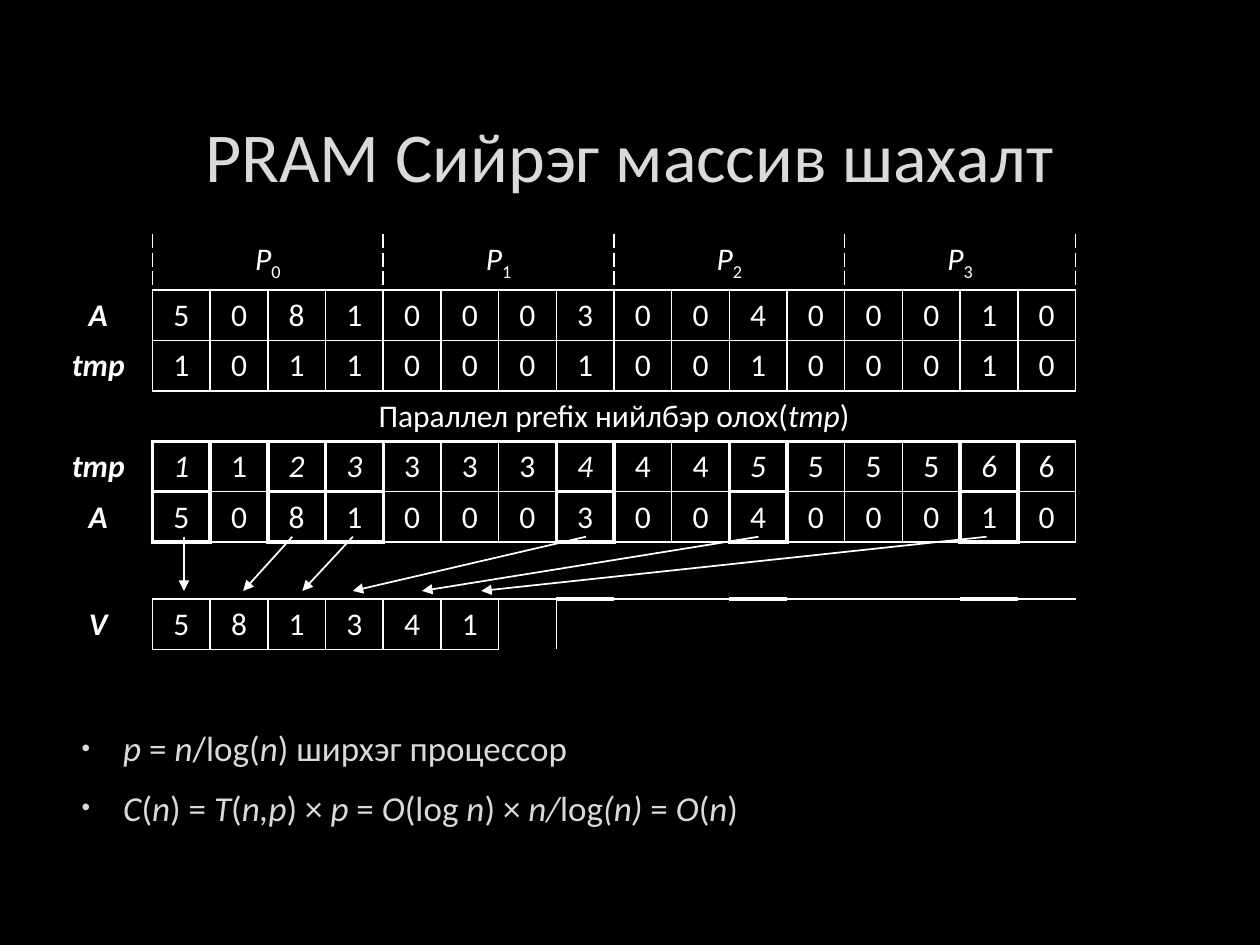
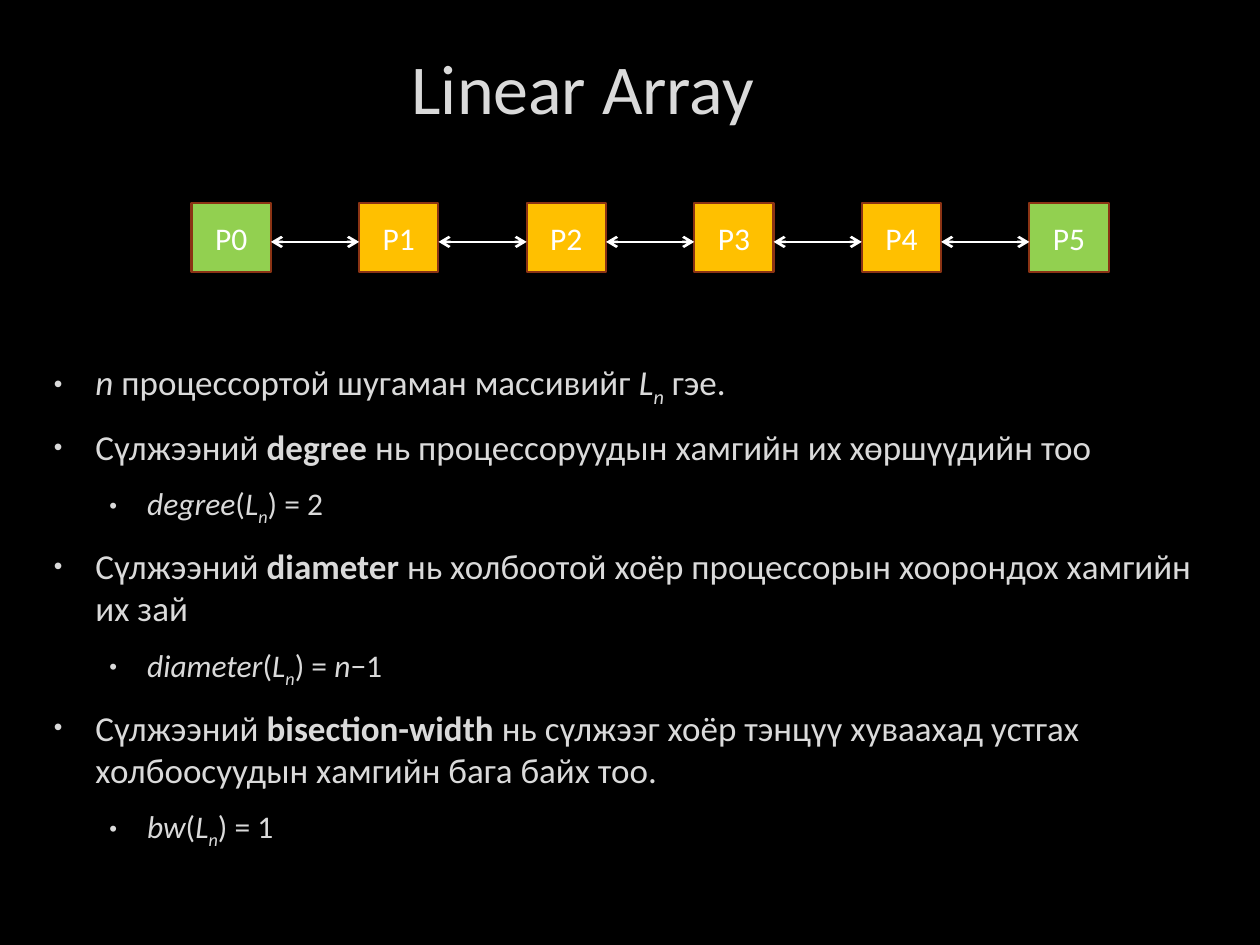
from lxml.etree import SubElement
from pptx import Presentation
from pptx.dml.color import RGBColor
from pptx.enum.shapes import MSO_CONNECTOR, MSO_SHAPE
from pptx.enum.text import MSO_ANCHOR, PP_ALIGN
from pptx.oxml.ns import qn
from pptx.util import Inches, Pt

BLACK = RGBColor(0x00, 0x00, 0x00)
WHITE = RGBColor(0xFF, 0xFF, 0xFF)
PALE = RGBColor(0xDA, 0xDA, 0xDA)
GREEN = RGBColor(0x92, 0xD0, 0x50)
AMBER = RGBColor(0xFF, 0xC0, 0x00)
RUST = RGBColor(0x8B, 0x33, 0x14)
MARKS = ("*", "^", "_")  # toggles for italic, bold, subscript
BULLET_INDENTS = ((0.38, -0.33, 20), (0.79, -0.3, 18))  # margin, hanging, size


def write(paragraph, markup, size, color, align=PP_ALIGN.CENTER):
    font = paragraph.font
    font.name, font.size, font.color.rgb = "Calibri", Pt(size), color
    paragraph.alignment = align
    active = set()
    for mark in MARKS:
        markup = markup.replace(mark, f"\t{mark}\t")
    for piece in filter(None, markup.split("\t")):
        if piece in MARKS:
            active ^= {piece}
            continue
        run = paragraph.add_run()
        run.text = piece
        run.font.italic = "*" in active
        run.font.bold = "^" in active
        if "_" in active:
            run._r.get_or_add_rPr().set("baseline", "-25000")


def draw_arrow(slide, start, end, width, **heads):
    arrow = slide.shapes.add_connector(
        MSO_CONNECTOR.STRAIGHT, *(Inches(value) for value in start + end))
    arrow.line.color.rgb = WHITE
    arrow.line.width = Pt(width)
    properties = arrow._element.spPr
    for tag, head in heads.items():
        SubElement(properties.find(qn("a:ln")), qn(f"a:{tag}"), type=head)
    SubElement(properties, qn("a:effectLst"))


presentation = Presentation()
presentation.slide_width, presentation.slide_height = Inches(10), Inches(7.5)

# Titles and bullets: title, its frame, bullet frame, (level, text)
contents = [
    ("PRAM Сийрэг массив шахалт", (0.75, 0.7, 8.49, 1.06), (0.5, 5.72, 9, 0.98), [
        (0, "*p* = *n*/log(*n*) ширхэг процессор"),
        (0, "*C*(*n*) = *T*(*n,p*) × *p* = *O*(log *n*) × *n/*log*(n)* = *O*(*n*)"),
    ]),
    ("Linear Array", (0.39, 0.03, 8.47, 1.31), (0.28, 2.81, 9.53, 4.49), [
        (0, "*n* процессортой шугаман массивийг *L_n_* гэе."),
        (0, "Сүлжээний ^degree^ нь процессоруудын хамгийн их хөршүүдийн тоо"),
        (1, "*degree*(*L_n_*) = 2"),
        (0, "Сүлжээний ^diameter^ нь холбоотой хоёр процессорын хоорондох хамгийн их зай"),
        (1, "*diameter*(*L_n_*) = *n*−1"),
        (0, "Сүлжээний ^bisection-width^ нь сүлжээг хоёр тэнцүү хуваахад устгах "
            "холбоосуудын хамгийн бага байх тоо."),
        (1, "*bw*(*L_n_*) = 1"),
    ]),
]
slides = []
for title, title_frame, body_frame, bullets in contents:
    slide = presentation.slides.add_slide(presentation.slide_layouts[6])
    slide.background.fill.solid()
    slide.background.fill.fore_color.rgb = BLACK
    slides.append(slide)

    heading, body = (
        slide.shapes.add_textbox(*(Inches(value) for value in frame)).text_frame
        for frame in (title_frame, body_frame))
    heading.word_wrap = body.word_wrap = True
    heading.vertical_anchor = MSO_ANCHOR.MIDDLE
    write(heading.paragraphs[0], title, 40, PALE)

    for index, (level, text) in enumerate(bullets):
        margin, hanging, size = BULLET_INDENTS[level]
        paragraph = body.add_paragraph() if index else body.paragraphs[0]
        paragraph.level = level
        paragraph.space_before, paragraph.space_after = Pt(size * 0.2), Pt(6)
        properties = paragraph._p.get_or_add_pPr()
        properties.set("marL", str(Inches(margin)))
        properties.set("indent", str(Inches(hanging)))
        bullet_color = SubElement(properties, qn("a:buClr"))
        SubElement(bullet_color, qn("a:srgbClr"), val=str(PALE))
        SubElement(properties, qn("a:buSzPct"), val="70000")
        SubElement(properties, qn("a:buFont"), typeface="Arial")
        SubElement(properties, qn("a:buChar"), char="•")
        write(paragraph, text, size, PALE, PP_ALIGN.LEFT)

packing_slide, linear_slide = slides

# Packing table: a label column, then 16 array columns
ARRAY_COLUMNS = range(1, 17)
PACKED_COLUMNS = (1, 3, 4, 8, 11, 15)
ROW_HEIGHTS = (0.44, 0.4, 0.4, 0.4, 0.4, 0.4, 0.45, 0.4)
array_rows = {
    1: ("A", "5081000300400010"),
    2: ("tmp", "1011000100100010"),
    4: ("tmp", "1123333444555566"),
    5: ("A", "5081000300400010"),
    7: ("V", "581341"),
}
table = packing_slide.shapes.add_table(
    len(ROW_HEIGHTS), 17, Inches(0.35), Inches(1.86),
    Inches(8.19), Inches(sum(ROW_HEIGHTS))).table
table.first_row = table.horz_banding = False
table._tbl.tblPr.find(qn("a:tableStyleId")).text = "{2D5ABB26-0587-4C30-8999-92F81FD0307C}"
table.columns[0].width = Inches(0.86)
for column in ARRAY_COLUMNS:
    table.columns[column].width = Inches(7.33 / 16)
for row, height in zip(table.rows, ROW_HEIGHTS):
    row.height = Inches(height)

# Cell texts; new prefix sums stand in italics
texts = {(3, 1): "Параллел prefix нийлбэр олох(*tmp*)"}
for processor in range(4):
    first = 1 + 4 * processor
    texts[0, first] = f"*P*_{processor}_"
    table.cell(0, first).merge(table.cell(0, first + 3))
table.cell(3, 1).merge(table.cell(3, 16))
for row, (label, digits) in array_rows.items():
    texts[row, 0] = f"^*{label}*^"
    for column, digit in enumerate(digits, 1):
        is_new_sum = row == 4 and column in PACKED_COLUMNS
        texts[row, column] = f"*{digit}*" if is_new_sum else digit
for (row, column), text in texts.items():
    write(table.cell(row, column).text_frame.paragraphs[0], text, 18, WHITE)

# Borders: thin grid first, then heavy boxes around the packed values
NEIGHBOURS = {"lnL": (0, -1, "lnR"), "lnR": (0, 1, "lnL"),
              "lnT": (-1, 0, "lnB"), "lnB": (1, 0, "lnT")}
boxes = [(row, column, NEIGHBOURS, 1, "solid")
         for row, (label, digits) in array_rows.items()
         for column in range(1, len(digits) + 1)]
boxes += [(row, column, NEIGHBOURS, 2.25, "solid")
          for row in (4, 5) for column in PACKED_COLUMNS]
boxes += [(4, column, ("lnT",), 2.25, "solid") for column in ARRAY_COLUMNS]
boxes += [(0, column, ("lnL",), 1, "sysDash") for column in (1, 5, 9, 13)]
boxes += [(0, column, ("lnR",), 1, "sysDash") for column in (13, 16)]
edges = {}
for row, column, sides, width, dash in boxes:
    for side in sides:
        down, across, opposite = NEIGHBOURS[side]
        edges[row, column, side] = width, dash
        edges[row + down, column + across, opposite] = width, dash
for row in range(len(ROW_HEIGHTS)):
    for column in range(17):
        cell = table.cell(row, column)
        for side in NEIGHBOURS:
            if (row, column, side) in edges:
                width, dash = edges[row, column, side]
                border = SubElement(cell._tc.get_or_add_tcPr(), qn(f"a:{side}"),
                                    w=str(Pt(width)))
                fill = SubElement(border, qn("a:solidFill"))
                SubElement(fill, qn("a:srgbClr"), val=str(WHITE))
                SubElement(border, qn("a:prstDash"), val=dash)
        cell.fill.background()

# Arrows from the packed values to their places in V
for source, target in ((1.46, 1.46), (7.83, 3.82), (6.02, 3.35),
                       (4.65, 2.8), (2.32, 1.93), (2.8, 2.4)):
    draw_arrow(packing_slide, (source, 4.26), (target, 4.69), 1, tailEnd="triangle")

# Linear array: six processors at an equal pitch
PITCH, NODE_WIDTH, NODE_HEIGHT = 1.33, 0.63, 0.55
for index in range(6):
    left = 1.52 + index * PITCH
    node = linear_slide.shapes.add_shape(
        MSO_SHAPE.RECTANGLE, Inches(left), Inches(1.61),
        Inches(NODE_WIDTH), Inches(NODE_HEIGHT))
    node.shadow.inherit = False
    node.fill.solid()
    node.fill.fore_color.rgb = GREEN if index in (0, 5) else AMBER
    node.line.color.rgb = RUST
    node.line.width = Pt(1.25)
    write(node.text_frame.paragraphs[0], f"P{index}", 18, WHITE)
    if index:
        draw_arrow(linear_slide, (left, 1.92), (left - PITCH + NODE_WIDTH, 1.92), 1.5,
                   headEnd="arrow", tailEnd="arrow")

presentation.save("out.pptx")
